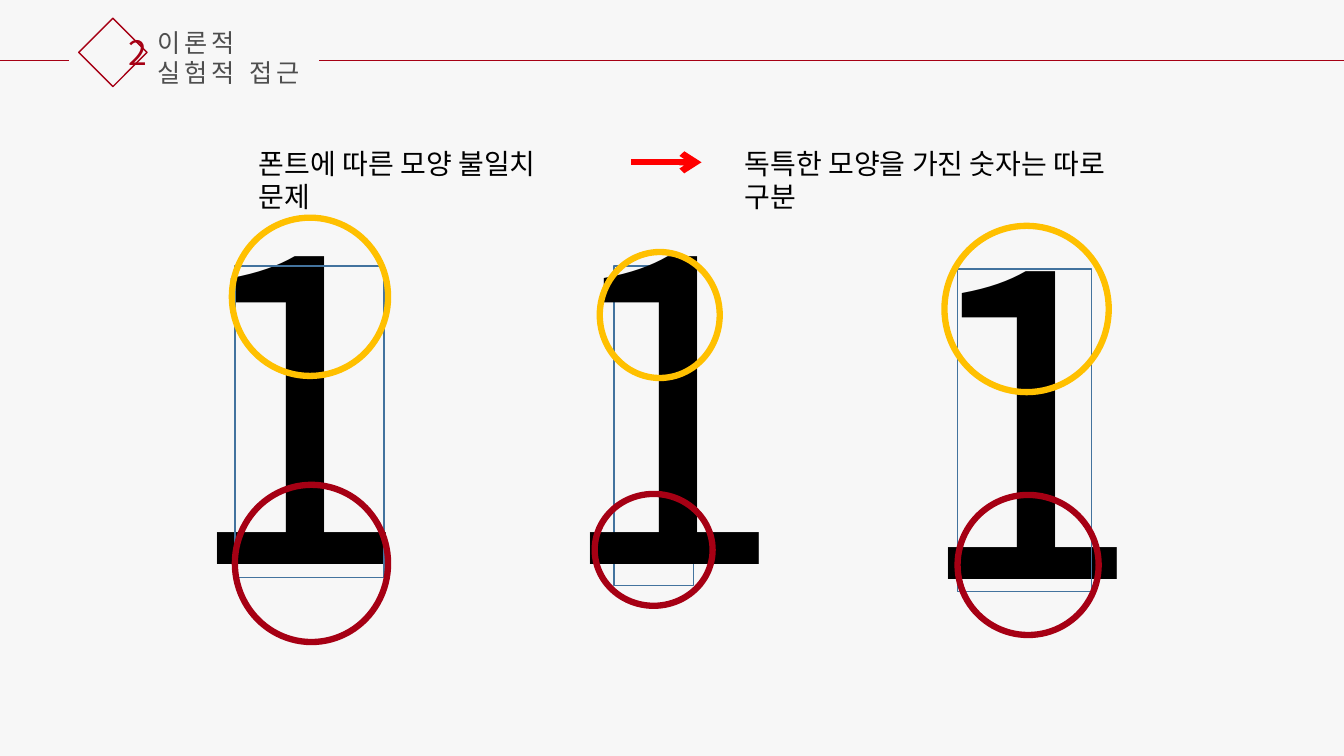
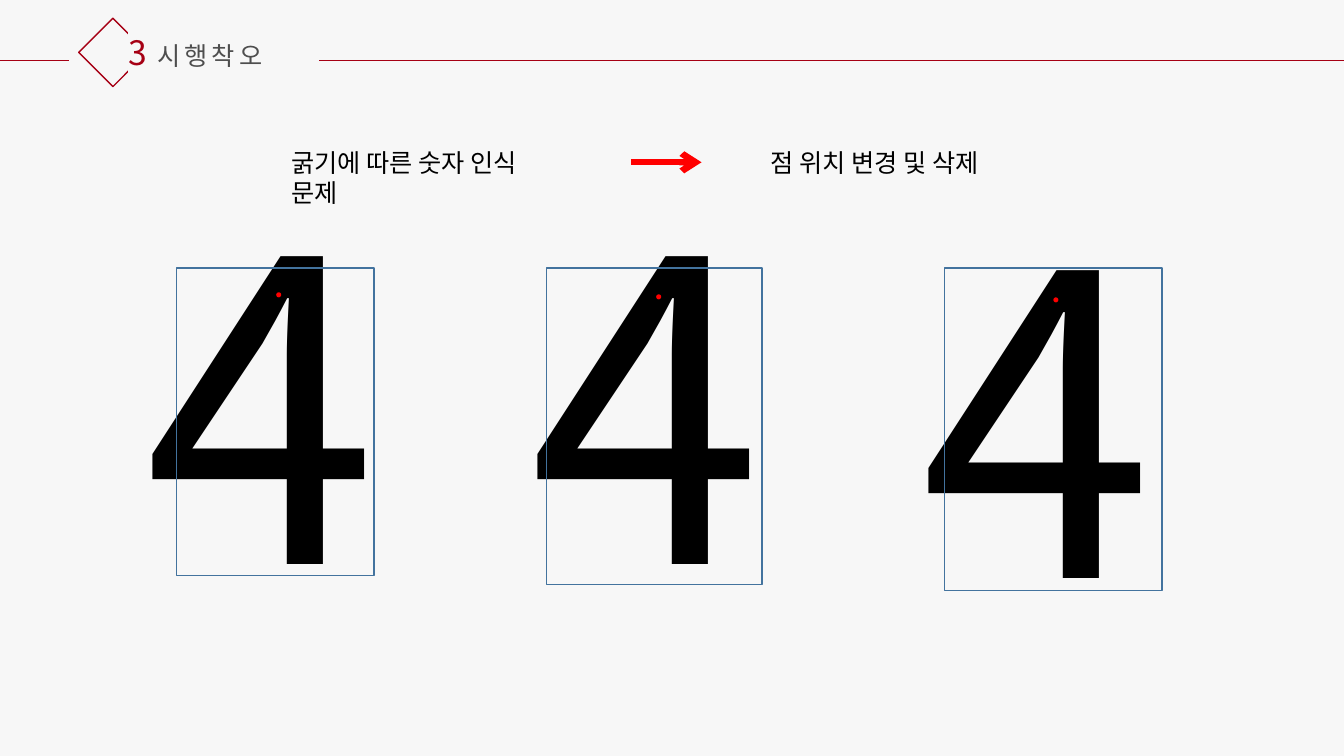
from dataclasses import dataclass

from pptx import Presentation
from pptx.dml.color import RGBColor as RGB
from pptx.enum.shapes import MSO_CONNECTOR as CONNECTOR, MSO_SHAPE as SHAPE
from pptx.oxml.ns import qn
from pptx.util import Emu, Pt
from lxml.etree import SubElement

COLUMNS, ROWS = 40, 22.5
CELL = 304800  # one grid cell is a square of a third of an inch


@dataclass(frozen=True)
class Theme:
    font: str = "Noto Sans CJK KR"
    paper: RGB = RGB(0xF7, 0xF7, 0xF7)
    accent: RGB = RGB(0xA6, 0x00, 0x14)
    heading: RGB = RGB(0x4E, 0x4E, 0x4E)
    ink: RGB = RGB(0, 0, 0)
    frame: RGB = RGB(0x43, 0x73, 0x9E)
    highlight: RGB = RGB(0xFF, 0xC0, 0x00)
    alert: RGB = RGB(0xFF, 0, 0)
    number_size: int = 24
    heading_size: int = 18
    digit_size: int = 300
    heading_spacing: int = 300
    hairline: float = 0.5
    outline: float = 1
    heavy: float = 4.5


THEME = Theme()


def cells(*lengths):
    return [Emu(round(length * CELL)) for length in lengths]


def add_text(shapes, box, text, size, color, spacing=None):
    frame = shapes.add_textbox(*cells(*box)).text_frame
    frame.word_wrap = True
    frame.text = text
    for paragraph in frame.paragraphs:
        for run in paragraph.runs:
            run.font.size = Pt(size)
            run.font.name = THEME.font
            run.font.color.rgb = color
            properties = run.font._element
            SubElement(properties, qn("a:ea")).set("typeface", THEME.font)
            if spacing:
                properties.set("spc", str(spacing))


def add_figure(shapes, kind, box, fill=None, line=None, weight=THEME.outline):
    figure = shapes.add_shape(kind, *cells(*box))
    figure.shadow.inherit = False
    if fill is None:
        figure.fill.background()
    else:
        figure.fill.solid()
        figure.fill.fore_color.rgb = fill
    if line is None:
        figure.line.fill.background()
    else:
        figure.line.color.rgb = line
        figure.line.width = Pt(weight)
    return figure


def add_rule(shapes, start, end, row, color, weight, arrow=False):
    rule = shapes.add_connector(CONNECTOR.STRAIGHT, *cells(start, row, end, row))
    rule.line.color.rgb = color
    rule.line.width = Pt(weight)
    if arrow:
        SubElement(rule.line._get_or_add_ln(), qn("a:tailEnd")).set("type", "arrow")
    SubElement(rule._element.spPr, qn("a:effectLst"))


def add_header(shapes, number, title, title_top, open_diamond=False):
    diamond = add_figure(shapes, SHAPE.RECTANGLE, (2.64, 0.84, 1.44, 1.44), line=THEME.accent)
    diamond.rotation = 45
    if open_diamond:
        add_figure(shapes, SHAPE.RECTANGLE, (3.81, 0.69, 1.44, 1.59), fill=THEME.paper)
    add_text(shapes, (3.54, 0.81, 1.56, 1.5), number, THEME.number_size, THEME.accent)
    add_text(shapes, (4.38, title_top, 5.13, 1.2), title,
             THEME.heading_size, THEME.heading, THEME.heading_spacing)
    for start, end in ((0, 2.04), (9.5, COLUMNS)):
        add_rule(shapes, start, end, 1.8, THEME.accent, THEME.hairline)


def add_problem_and_remedy(shapes, problem, remedy, top, size):
    """Two captions, each (left, width, text), joined by an arrow."""
    for left, width, text in (problem, remedy):
        add_text(shapes, (left, top, width, 1.3), text, size, THEME.ink)
    add_rule(shapes, 18.78, 20.88, 4.83, THEME.alert, THEME.heavy, arrow=True)


def add_digit(shapes, digit, corner, width):
    add_text(shapes, (*corner, width, 15.45), digit, THEME.digit_size, THEME.ink)


def add_frame(shapes, box):
    add_figure(shapes, SHAPE.RECTANGLE, box, line=THEME.frame)


def add_circled_one(shapes, corner, frame, top_ring, foot_ring, frame_behind=False):
    group = shapes.add_group_shape().shapes
    if frame_behind:
        add_frame(group, frame)
    add_digit(group, "1", corner, 5.64)
    if not frame_behind:
        add_frame(group, frame)
    for ring, color in ((top_ring, THEME.highlight), (foot_ring, THEME.accent)):
        add_figure(group, SHAPE.OVAL, ring, line=color, weight=THEME.heavy)


def add_dotted_four(shapes, corner, frame, dot):
    group = shapes.add_group_shape().shapes
    add_digit(group, "4", corner, 8.31)
    add_frame(group, frame)
    add_figure(group, SHAPE.OVAL, (*dot, 0.15, 0.15), fill=THEME.alert)


def new_slide(deck):
    slide = deck.slides.add_slide(deck.slide_layouts[6])
    slide.background.fill.solid()
    slide.background.fill.fore_color.rgb = THEME.paper
    return slide.shapes


def build_font_slide(deck):
    shapes = new_slide(deck)
    add_header(shapes, "2", "이론적\n실험적 접근", 0.66)
    add_circled_one(shapes, (16.17, 4.14), (18.27, 7.92, 2.37, 9.51),
                    (17.85, 7.5, 3.57, 3.75), (17.7, 14.7, 3.51, 3.33), frame_behind=True)
    add_circled_one(shapes, (5.07, 4.14), (6.99, 7.92, 4.44, 9.27),
                    (6.9, 6.48, 4.65, 4.71), (6.99, 14.43, 4.56, 4.68))
    add_circled_one(shapes, (26.82, 4.59), (28.5, 8.01, 3.99, 9.6),
                    (28.11, 6.72, 4.89, 4.95), (28.5, 14.73, 4.2, 4.17))
    add_problem_and_remedy(shapes, (7.41, 10.41, "폰트에 따른 모양 불일치 문제"),
                           (21.87, 12.78, "독특한 모양을 가진 숫자는 따로 구분"), 4.2, 20)


def build_weight_slide(deck):
    shapes = new_slide(deck)
    add_header(shapes, "3", "시행착오", 1.05, open_diamond=True)
    for corner, frame, dot in (
        ((4.02, 4.14), (5.25, 7.98, 5.88, 9.15), (8.22, 8.7)),
        ((15.48, 4.14), (16.26, 7.98, 6.42, 9.42), (19.53, 8.76)),
        ((27.09, 4.56), (28.11, 7.98, 6.48, 9.6), (31.35, 8.85)),
    ):
        add_dotted_four(shapes, corner, frame, dot)
    add_problem_and_remedy(shapes, (8.37, 8.85, "굵기에 따른 숫자 인식 문제"),
                           (22.65, 6.8, "점 위치 변경 및 삭제"), 4.23, 18)


def main():
    deck = Presentation()
    deck.slide_width, deck.slide_height = cells(COLUMNS, ROWS)
    build_font_slide(deck)
    build_weight_slide(deck)
    deck.save("out.pptx")


if __name__ == "__main__":
    main()
